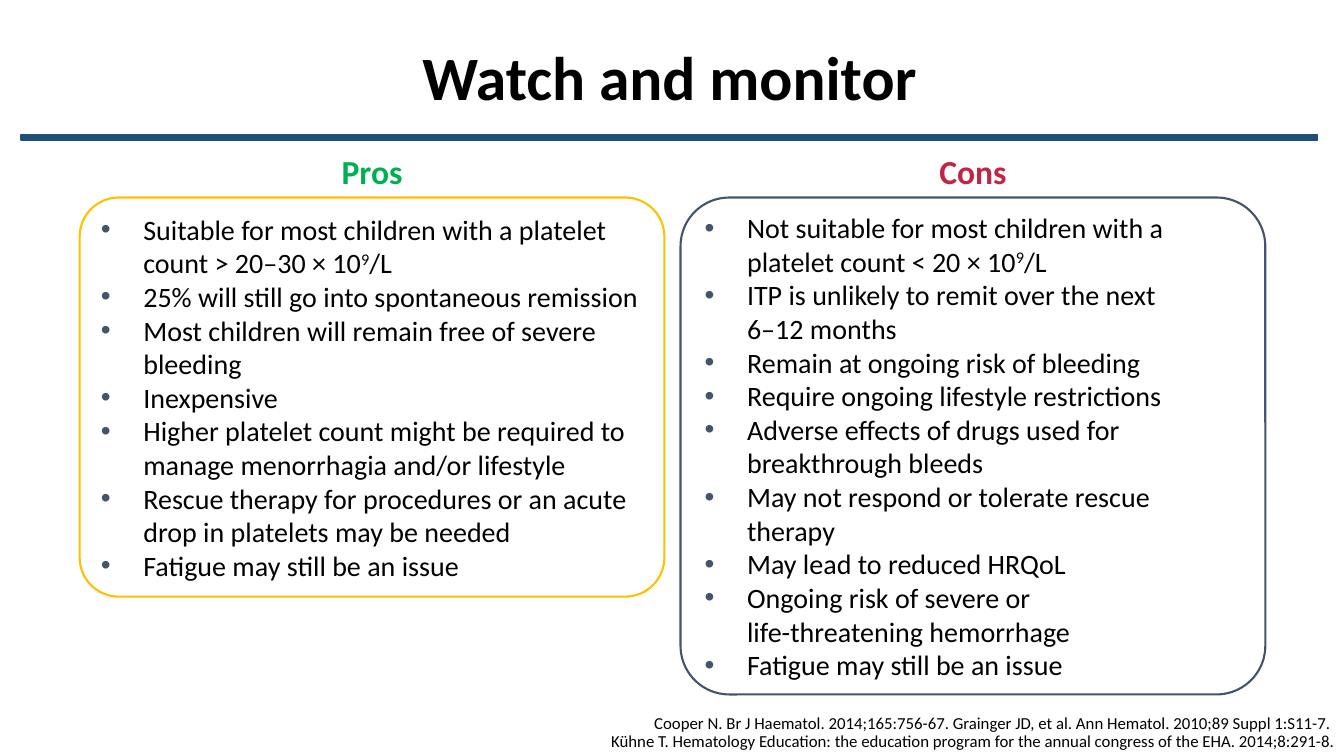
from lxml.etree import SubElement
from pptx import Presentation
from pptx.dml.color import RGBColor
from pptx.enum.shapes import MSO_SHAPE as Preset
from pptx.enum.text import MSO_ANCHOR as Anchor, PP_ALIGN as Align
from pptx.oxml.ns import qn
from pptx.util import Inches, Pt

NAVY, SLATE, BLACK = "1F4E79", "44546A", "000000"


def rgb(color):
    return RGBColor.from_string(color)


def write(paragraph, text, size, color=BLACK, bold=False, align=Align.LEFT):
    """Fill a paragraph; a part between carets becomes superscript."""
    first, *others = text.split("^")
    paragraph.text = first
    for part in others:
        paragraph.add_run().text = part
    paragraph.alignment = align
    for run in paragraph.runs:
        run.font.name = "Calibri"
        run.font.size = Pt(size)
        run.font.bold = bold
        run.font.color.rgb = rgb(color)
    if others:
        paragraph.runs[1]._r.get_or_add_rPr().set("baseline", "30000")


presentation = Presentation()
presentation.slide_width = Inches(13.33)
presentation.slide_height = Inches(7.5)
slide = presentation.slides.add_slide(presentation.slide_layouts[6])

# Title, references and column headings
references = (
    "Cooper N. Br J Haematol. 2014;165:756-67. Grainger JD, et al. "
    "Ann Hematol. 2010;89 Suppl 1:S11-7. \n"
    "Kühne T. Hematology Education: the education program for the annual "
    "congress of the EHA. 2014;8:291-8."
)
labels = [
    ("Watch and monitor", (4.09, 0.03, 5.15, 1.53), 44, BLACK, True, Align.LEFT, Anchor.MIDDLE, 0.9),
    (references, (5.5, 7.04, 7.84, 0.46), 12, BLACK, False, Align.RIGHT, Anchor.BOTTOM, 0.9),
    ("Pros", (2.8, 1.45, 1.78, 0.5), 24, "00B050", True, Align.CENTER, Anchor.TOP, 1.0),
    ("Cons", (8.76, 1.45, 1.78, 0.5), 24, "C12546", True, Align.CENTER, Anchor.TOP, 1.0),
]
for text, place, size, color, bold, align, anchor, spacing in labels:
    text_frame = slide.shapes.add_textbox(*map(Inches, place)).text_frame
    text_frame.word_wrap = True
    text_frame.vertical_anchor = anchor
    paragraph = text_frame.paragraphs[0]
    write(paragraph, text, size, color, bold, align)
    paragraph.line_spacing = spacing

# Bulleted panels
pros = [
    "Suitable for most children with a platelet count > 20–30 × 10^9^/L",
    "25% will still go into spontaneous remission",
    "Most children will remain free of severe bleeding",
    "Inexpensive",
    "Higher platelet count might be required to manage menorrhagia and/or lifestyle",
    "Rescue therapy for procedures or an acute drop in platelets may be needed",
    "Fatigue may still be an issue",
]
cons = [
    "Not suitable for most children with a platelet count < 20 × 10^9^/L",
    "ITP is unlikely to remit over the next \n6–12 months",
    "Remain at ongoing risk of bleeding",
    "Require ongoing lifestyle restrictions",
    "Adverse effects of drugs used for \nbreakthrough bleeds",
    "May not respond or tolerate rescue therapy",
    "May lead to reduced HRQoL",
    "Ongoing risk of severe or \nlife-threatening hemorrhage",
    "Fatigue may still be an issue",
]
for left, height, outline, points in [(0.79, 3.96, "FFC000", pros), (6.75, 4.93, SLATE, cons)]:
    panel = slide.shapes.add_shape(
        Preset.ROUNDED_RECTANGLE, Inches(left), Inches(1.96), Inches(5.8), Inches(height)
    )
    panel.adjustments[0] = 0.098
    panel.shadow.inherit = False
    panel.fill.background()
    panel.line.color.rgb = rgb(outline)
    panel.line.width = Pt(1.5)
    text_frame = panel.text_frame
    text_frame.word_wrap = True
    text_frame.vertical_anchor = Anchor.MIDDLE
    for index, point in enumerate(points):
        paragraph = text_frame.add_paragraph() if index else text_frame.paragraphs[0]
        properties = paragraph._p.get_or_add_pPr()
        properties.set("marL", str(Inches(0.42)))
        properties.set("indent", str(Inches(-0.42)))
        bullet_color = SubElement(properties, qn("a:buClr"))
        SubElement(bullet_color, qn("a:srgbClr"), val=SLATE)
        SubElement(properties, qn("a:buFont"), typeface="Arial")
        SubElement(properties, qn("a:buChar"), char="•")
        write(paragraph, point, 20)

# Rule under the title
rule = slide.shapes.add_shape(
    Preset.RECTANGLE, Inches(0.21), Inches(1.34), Inches(12.86), Inches(0.05)
)
rule.shadow.inherit = False
rule.fill.solid()
rule.fill.fore_color.rgb = rgb(NAVY)
rule.line.color.rgb = rgb(NAVY)
rule.line.width = Pt(1)

presentation.save("out.pptx")
